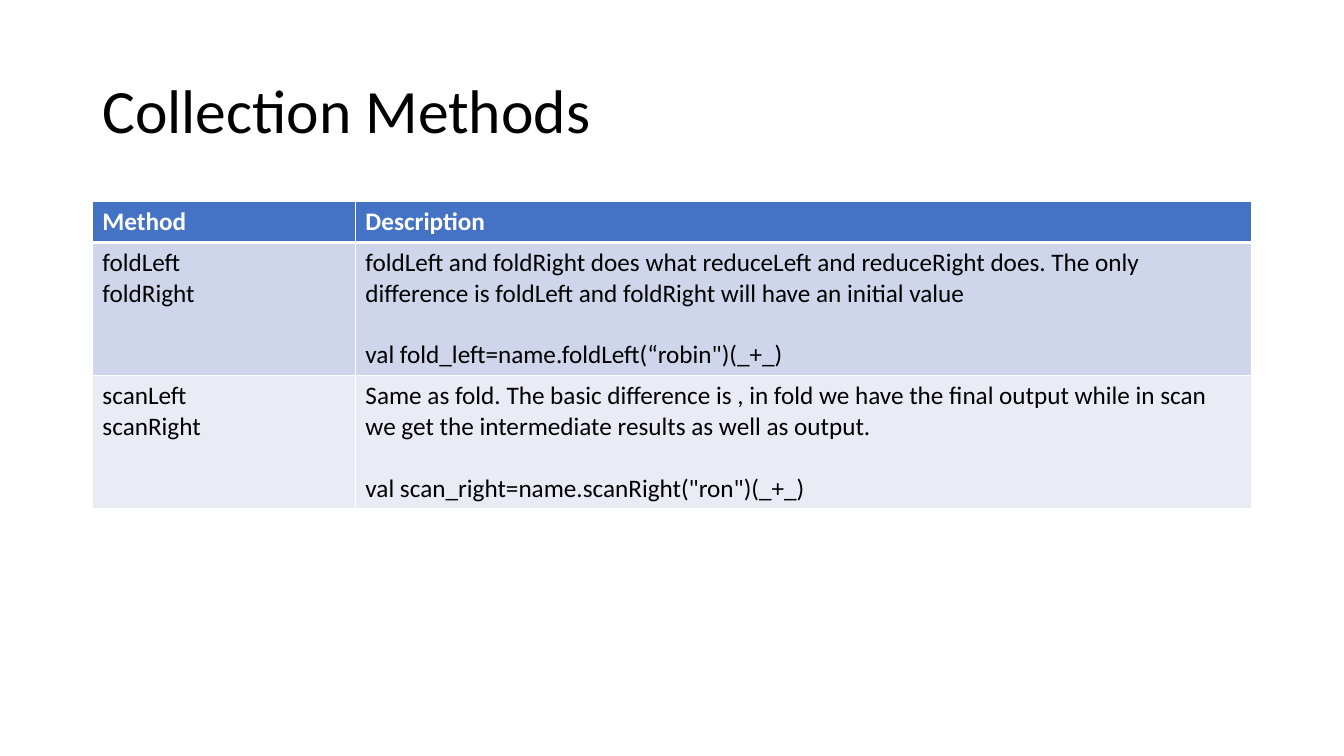
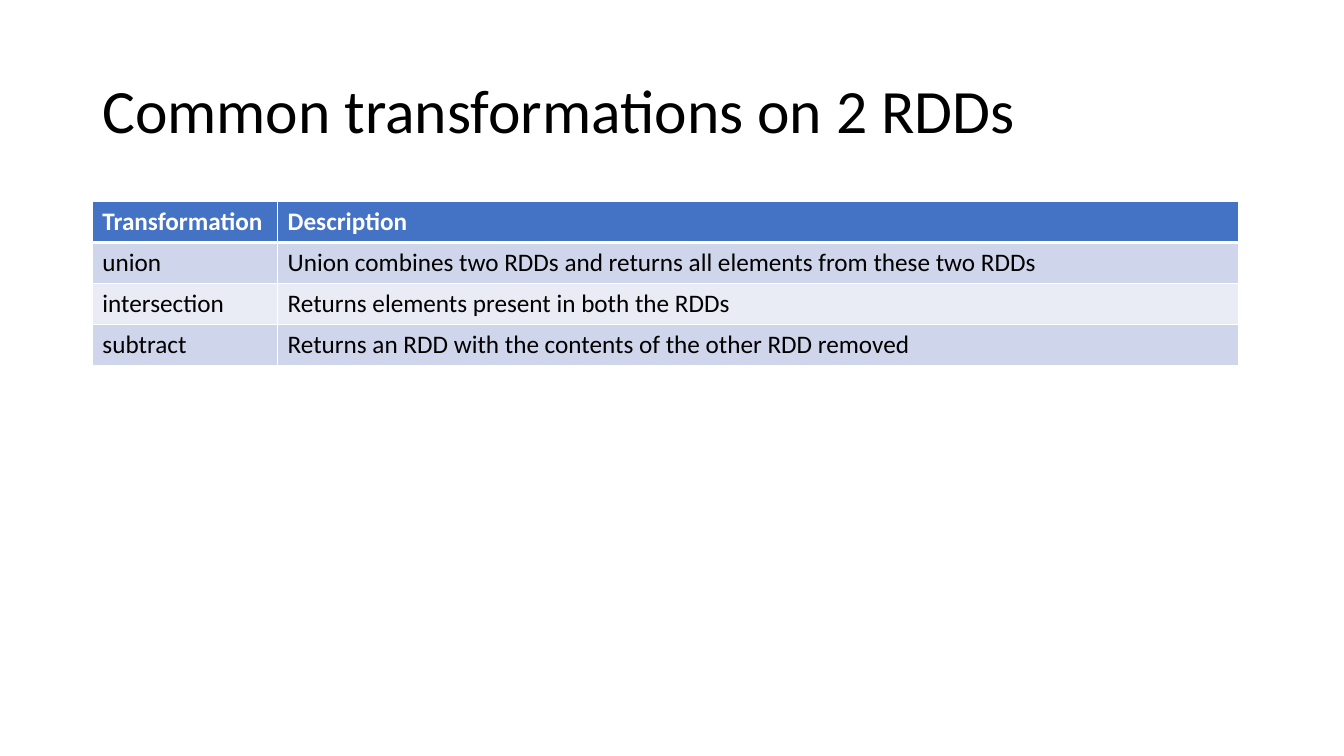
"""Build two slides, each a title above a banded table of methods."""
from dataclasses import dataclass
from typing import NamedTuple

from lxml import etree
from pptx import Presentation
from pptx import util as u
from pptx.dml.color import RGBColor
from pptx.enum import text
from pptx.oxml import ns

BLACK = RGBColor(0x00, 0x00, 0x00)
WHITE = RGBColor(0xFF, 0xFF, 0xFF)
HEADER = RGBColor(0x44, 0x72, 0xC4)
BANDS = (RGBColor(0xCF, 0xD5, 0xEA), RGBColor(0xE9, 0xEB, 0xF5))

FONT = "Calibri"
LEFT = 66
TABLE_TOP = 144
HEADER_HEIGHT = 29.2
LINE_HEIGHT = 22
THIN, THICK = 1, 3


class Row(NamedTuple):
    names: tuple[str, ...]
    description: str
    example: str = ""


@dataclass(frozen=True)
class TableSlide:
    title: str
    heading: str
    widths: tuple[float, float]
    row_height: float
    rows: tuple[Row, ...]


SLIDES = (
    TableSlide("Collection Methods", "Method", (187.9, 640.1), 95.2, (
        Row(("foldLeft", "foldRight"),
            "foldLeft and foldRight does what reduceLeft and reduceRight does. "
            "The only difference is foldLeft and foldRight will have an initial value",
            'val fold_left=name.foldLeft(“robin")(_+_)'),
        Row(("scanLeft", "scanRight"),
            "Same as fold. The basic difference is , in fold we have the final output "
            "while in scan we get the intermediate results as well as output.",
            'val scan_right=name.scanRight("ron")(_+_)'),
    )),
    TableSlide("Common transformations on 2 RDDs", "Transformation", (132.3, 686.3), 29.2, (
        Row(("union",),
            "Union combines two RDDs and returns all elements from these two RDDs"),
        Row(("intersection",), "Returns elements present in both the RDDs"),
        Row(("subtract",), "Returns an RDD with the contents of the other RDD removed"),
    )),
)


def add_text(tf, content: str, *, size: float = 18, color: RGBColor = BLACK,
             bold: bool = False, before: float = 0, spacing: float = 1.0) -> None:
    p = tf.paragraphs[0] if not tf.text else tf.add_paragraph()
    p.space_before = u.Pt(before)
    p.line_spacing = spacing
    r = p.add_run()
    r.text = content
    r.font.name = FONT
    r.font.size = u.Pt(size)
    r.font.bold = bold
    r.font.color.rgb = color


def style_cell(cell, fill: RGBColor, top: float, bottom: float) -> None:
    cell.fill.solid()
    cell.fill.fore_color.rgb = fill
    tc_pr = cell._tc.get_or_add_tcPr()
    edges = (("L", THIN), ("R", THIN), ("T", top), ("B", bottom))
    for i, (side, width) in enumerate(edges):
        ln = etree.Element(ns.qn(f"a:ln{side}"), w=str(u.Pt(width)))
        solid = etree.SubElement(ln, ns.qn("a:solidFill"))
        etree.SubElement(solid, ns.qn("a:srgbClr"), val=str(WHITE))
        tc_pr.insert(i, ln)


def add_title(s, title: str) -> None:
    tf = s.shapes.add_textbox(u.Pt(LEFT), u.Pt(28.8), u.Pt(828), u.Pt(104.4)).text_frame
    tf.word_wrap = True
    tf.vertical_anchor = text.MSO_ANCHOR.MIDDLE
    add_text(tf, title, size=44, spacing=0.9)


def add_method_table(s, data: TableSlide) -> None:
    count = len(data.rows)
    height = HEADER_HEIGHT + count * data.row_height
    table = s.shapes.add_table(count + 1, 2, u.Pt(LEFT), u.Pt(TABLE_TOP),
                               u.Pt(sum(data.widths)), u.Pt(height)).table
    for column, width in zip(table.columns, data.widths):
        column.width = u.Pt(width)

    table.rows[0].height = u.Pt(HEADER_HEIGHT)
    for cell, heading in zip(table.rows[0].cells, (data.heading, "Description")):
        style_cell(cell, HEADER, THIN, THICK)
        add_text(cell.text_frame, heading, color=WHITE, bold=True)

    for i, row in enumerate(data.rows):
        table.rows[i + 1].height = u.Pt(data.row_height)
        name_cell, description_cell = table.rows[i + 1].cells
        for cell in (name_cell, description_cell):
            style_cell(cell, BANDS[i % 2], THICK if i == 0 else THIN, THIN)
        for name in row.names:
            add_text(name_cell.text_frame, name)
        add_text(description_cell.text_frame, row.description)
        if row.example:
            add_text(description_cell.text_frame, row.example, before=LINE_HEIGHT)


def main() -> None:
    prs = Presentation()
    prs.slide_width, prs.slide_height = u.Pt(960), u.Pt(540)
    for data in SLIDES:
        s = prs.slides.add_slide(prs.slide_layouts[6])
        add_title(s, data.title)
        add_method_table(s, data)
    prs.save("out.pptx")


if __name__ == "__main__":
    main()
